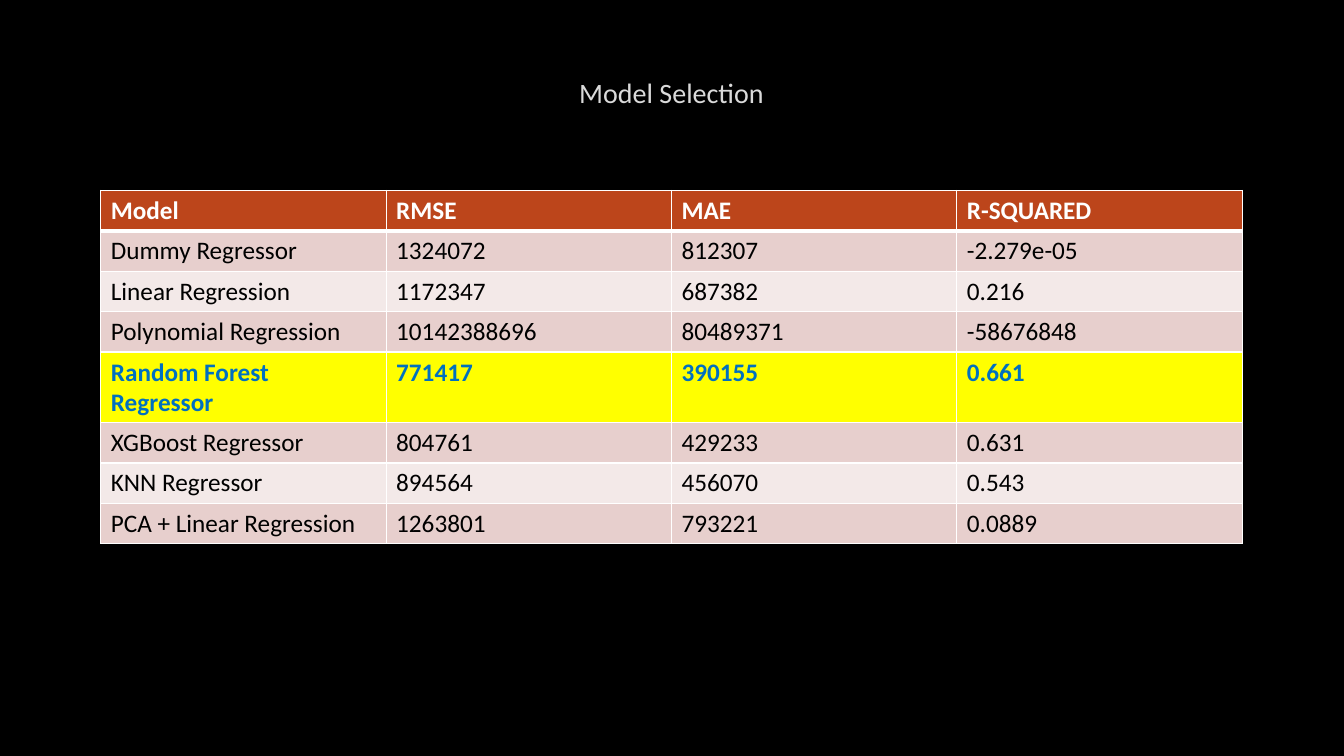
from lxml import etree
from pptx import Presentation
from pptx.dml.color import RGBColor
from pptx.enum.text import MSO_ANCHOR, PP_ALIGN
from pptx.oxml.ns import qn
from pptx.util import Inches, Pt

CENTER = PP_ALIGN.CENTER
LEFT = PP_ALIGN.LEFT
MIDDLE = MSO_ANCHOR.MIDDLE

FONT = "Calibri"
COLORS = {
    "background": "000000",
    "title": "DADADA",
    "outline": "404040",
    "header": "BC451B",
    "odd": "E7CFCD",
    "even": "F3E9E8",
    "best": "FFFF00",
    "best_text": "0070C0",
    "white": "FFFFFF",
    "black": "000000",
}
MODEL_SCORES = [
    ("Model", "RMSE", "MAE", "R-SQUARED"),
    ("Dummy Regressor", "1324072", "812307", "-2.279e-05"),
    ("Linear Regression", "1172347", "687382", "0.216"),
    ("Polynomial Regression", "10142388696", "80489371", "-58676848"),
    ("Random Forest Regressor", "771417", "390155", "0.661"),
    ("XGBoost Regressor", "804761", "429233", "0.631"),
    ("KNN Regressor", "894564", "456070", "0.543"),
    ("PCA + Linear Regression", "1263801", "793221", "0.0889"),
]
BEST_ROW = 4
LEFT_EDGE = 1
COLUMN_WIDTH = 2.83
ROW_HEIGHT = 0.4
TABLE_WIDTH = COLUMN_WIDTH * len(MODEL_SCORES[0])


def rgb(name):
    return RGBColor.from_string(COLORS[name])


def write_text(frame, text, size=18, color="black", bold=False, align=LEFT):
    para = frame.paragraphs[0]
    para.alignment = align
    span = para.add_run()
    span.text = text
    span.font.name = FONT
    span.font.size = Pt(size)
    span.font.bold = bold
    span.font.color.rgb = rgb(color)
    return span


def make_line(tag, color, width):
    line = etree.Element(qn(tag), w=str(Pt(width)))
    fill = etree.SubElement(line, qn("a:solidFill"))
    shade = etree.SubElement(fill, qn("a:srgbClr"), val=COLORS[color])
    return line, shade


def add_title(page, text):
    box = page.shapes.add_textbox(
        Inches(LEFT_EDGE), Inches(0.39), Inches(TABLE_WIDTH), Inches(1.06)
    )
    frame = box.text_frame
    frame.word_wrap = True
    frame.vertical_anchor = MIDDLE
    span = write_text(frame, text, size=20, color="title", align=CENTER)
    outline, shade = make_line("a:ln", "outline", 0.75)
    etree.SubElement(shade, qn("a:alpha"), val="10000")
    span.font._element.insert(0, outline)


def set_borders(cell, top=1, bottom=1):
    properties = cell._tc.get_or_add_tcPr()
    for side, width in (("L", 1), ("R", 1), ("T", top), ("B", bottom)):
        line, _ = make_line(f"a:ln{side}", "white", width)
        properties.append(line)


def row_format(index):
    if index == 0:
        return "header", "white", True
    if index == BEST_ROW:
        return "best", "best_text", True
    return ("odd" if index % 2 else "even"), "black", False


def add_score_table(page, rows):
    table = page.shapes.add_table(
        len(rows), len(rows[0]), Inches(LEFT_EDGE), Inches(1.89),
        Inches(TABLE_WIDTH), Inches(ROW_HEIGHT * len(rows)),
    ).table
    for column in table.columns:
        column.width = Inches(COLUMN_WIDTH)
    for index, values in enumerate(rows):
        table.rows[index].height = Inches(ROW_HEIGHT)
        fill, color, bold = row_format(index)
        for position, value in enumerate(values):
            cell = table.cell(index, position)
            set_borders(
                cell,
                top=3 if index == 1 else 1,
                bottom=3 if index == 0 else 1,
            )
            cell.fill.solid()
            cell.fill.fore_color.rgb = rgb(fill)
            write_text(cell.text_frame, value, color=color, bold=bold)


def main():
    deck = Presentation()
    deck.slide_width = Inches(13.33)
    deck.slide_height = Inches(7.5)
    page = deck.slides.add_slide(deck.slide_layouts[6])
    page.background.fill.solid()
    page.background.fill.fore_color.rgb = rgb("background")
    add_title(page, "Model Selection")
    add_score_table(page, MODEL_SCORES)
    deck.save("out.pptx")


if __name__ == "__main__":
    main()
